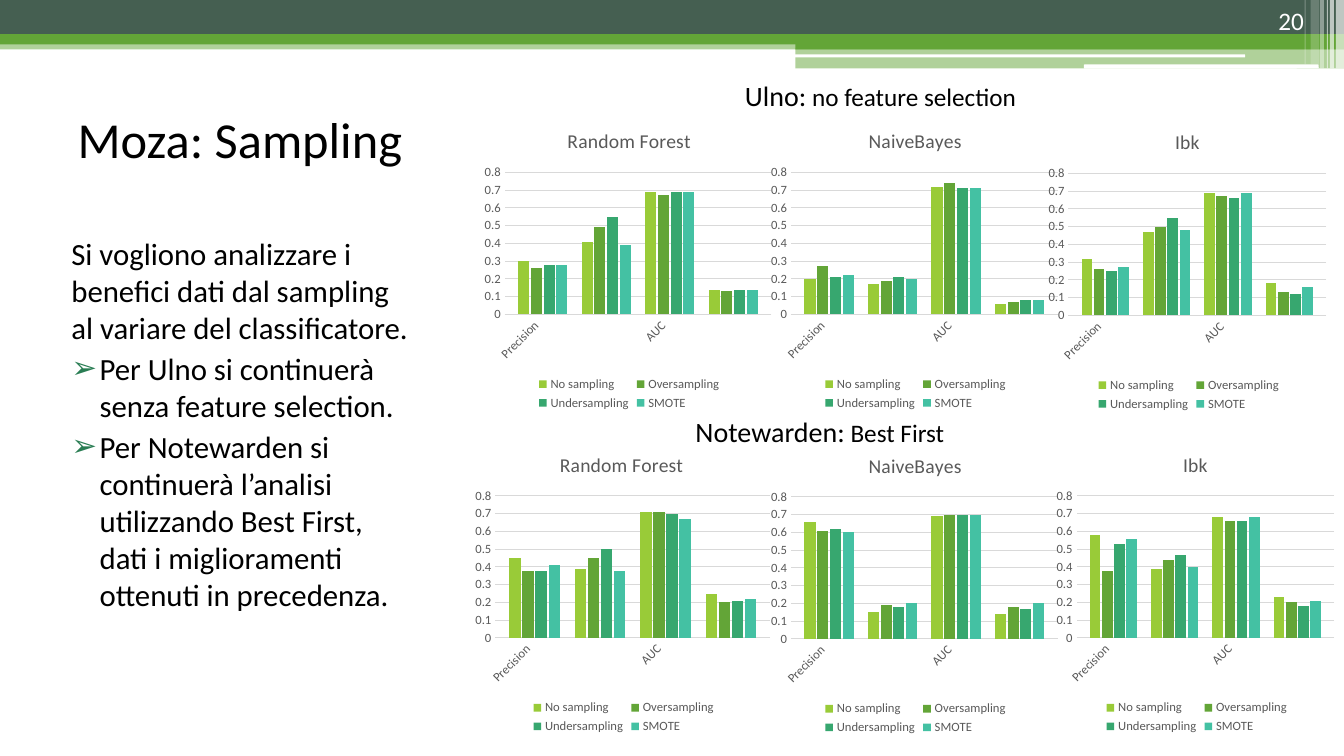
import pptx
import pptx.chart.data
import pptx.dml.color
import pptx.enum.chart
import pptx.enum.shapes
import pptx.enum.text
import pptx.oxml
import pptx.oxml.ns
import pptx.util
from pptx.util import Inches

FONT = "Calibri"
GREEN, DARK, WHITE, BLACK, GREY = "63A537", "455F51", "FFFFFF", "000000", "595959"
SAMPLINGS = {"No sampling": "99CB38", "Oversampling": GREEN,
             "Undersampling": "37A76F", "SMOTE": "44C1A3"}
METRICS = ["Precision", "Recall", "AUC", "Kappa"]
GROUP = 5  # category slots per metric: four bars and a gap
TITLE_LEFT = {"Random Forest": 0.28, "NaiveBayes": 0.33, "Ibk": 0.44}

# Header bands: left, top, width, height, colour, opacity, rounded
BANDS = [
    (0, 0.4, 13.33, 0.09, GREEN, 50, False),
    (0, 0, 13.33, 0.34, DARK, 100, False),
    (0, 0.34, 13.33, 0.1, GREEN, 100, False),
    (7.89, 0.39, 5.44, 0.1, GREEN, 100, False),
    (7.89, 0.48, 5.44, 0.2, GREEN, 50, False),
    (7.88, 0.54, 4.47, 0.03, WHITE, 100, True),
    (10.75, 0.64, 2.33, 0.04, WHITE, 100, True),
    (13.25, 0, 0.08, 0.68, WHITE, 65, False),
    (13.19, 0, 0.04, 0.68, WHITE, 65, False),
    (13.16, 0, 0.01, 0.68, WHITE, 60, False),
    (13.09, 0, 0.04, 0.68, WHITE, 40, False),
    (13, 0, 0.08, 0.64, WHITE, 20, False),
    (12.94, 0, 0.01, 0.64, WHITE, 30, False),
]

# Charts: classifier, box, one row per sampling with one value per metric
UPPER_CHARTS = [
    ("Random Forest", (4.77, 1.11, 2.94, 3),
     [(0.3, 0.41, 0.69, 0.14), (0.26, 0.49, 0.67, 0.13),
      (0.28, 0.55, 0.69, 0.14), (0.28, 0.39, 0.69, 0.14)]),
    ("NaiveBayes", (7.61, 1.11, 2.94, 3),
     [(0.2, 0.17, 0.72, 0.06), (0.27, 0.19, 0.74, 0.07),
      (0.21, 0.21, 0.71, 0.08), (0.22, 0.2, 0.71, 0.08)]),
    ("Ibk", (10.37, 1.12, 2.84, 3),
     [(0.32, 0.47, 0.69, 0.18), (0.26, 0.5, 0.67, 0.13),
      (0.25, 0.55, 0.66, 0.12), (0.27, 0.48, 0.69, 0.16)]),
]
LOWER_CHARTS = [
    ("Random Forest", (4.67, 4.32, 3.03, 3),
     [(0.45, 0.39, 0.71, 0.25), (0.38, 0.45, 0.71, 0.2),
      (0.38, 0.5, 0.7, 0.21), (0.41, 0.38, 0.67, 0.22)]),
    ("NaiveBayes", (7.61, 4.33, 2.94, 3),
     [(0.66, 0.15, 0.69, 0.14), (0.61, 0.19, 0.7, 0.18),
      (0.62, 0.18, 0.7, 0.17), (0.6, 0.2, 0.7, 0.2)]),
    ("Ibk", (10.45, 4.32, 2.84, 3),
     [(0.58, 0.39, 0.68, 0.23), (0.38, 0.44, 0.66, 0.2),
      (0.53, 0.47, 0.66, 0.18), (0.56, 0.4, 0.68, 0.21)]),
]


def color(hex_string):
    return pptx.dml.color.RGBColor.from_string(hex_string)


def set_font(font, size, hex_string):
    font.name, font.size, font.bold = FONT, pptx.util.Pt(size), False
    font.color.rgb = color(hex_string)


def add_text_box(slide, box):
    text_frame = slide.shapes.add_textbox(*map(Inches, box)).text_frame
    text_frame.word_wrap = True
    return text_frame


def add_header(slide):
    shapes = pptx.enum.shapes.MSO_SHAPE
    for *box, hex_string, opacity, rounded in BANDS:
        kind = shapes.ROUNDED_RECTANGLE if rounded else shapes.RECTANGLE
        band = slide.shapes.add_shape(kind, *map(Inches, box))
        band.shadow.inherit = False
        band.line.fill.background()
        band.fill.solid()
        band.fill.fore_color.rgb = color(hex_string)
        if opacity < 100:
            fill = band.fill._xPr.find(".//" + pptx.oxml.ns.qn("a:srgbClr"))
            fill.append(pptx.oxml.parse_xml(
                f'<a:alpha {pptx.oxml.ns.nsdecls("a")} val="{opacity * 1000}"/>'))

    # Slide number
    text_frame = add_text_box(slide, (11.92, 0, 1.11, 0.4))
    text_frame.vertical_anchor = pptx.enum.text.MSO_ANCHOR.BOTTOM
    paragraph = text_frame.paragraphs[0]
    paragraph.text = "20"
    paragraph.alignment = pptx.enum.text.PP_ALIGN.RIGHT
    set_font(paragraph.font, 18, WHITE)


def add_title(slide, box):
    title = slide.shapes.title
    title.left, title.top, title.width, title.height = map(Inches, box)
    title.text_frame.vertical_anchor = pptx.enum.text.MSO_ANCHOR.MIDDLE
    paragraph = title.text_frame.paragraphs[0]
    paragraph.text = "Moza: Sampling"
    paragraph.alignment = pptx.enum.text.PP_ALIGN.LEFT
    set_font(paragraph.font, 36, BLACK)


def add_body(slide, box):
    text_frame = add_text_box(slide, box)
    lines = [
        ("Si vogliono analizzare i benefici dati dal sampling al variare del classificatore.", False),
        ("Per Ulno si continuerà senza feature selection.", True),
        ("Per Notewarden si continuerà l’analisi utilizzando Best First, "
         "dati i miglioramenti ottenuti in precedenza.", True),
    ]
    for index, (text, bulleted) in enumerate(lines):
        paragraph = text_frame.add_paragraph() if index else text_frame.paragraphs[0]
        paragraph.text = text
        paragraph.space_before = pptx.util.Pt(3)
        set_font(paragraph.font, 22, BLACK)
        properties = paragraph._p.get_or_add_pPr()
        properties.set("marL", str(Inches(0.4 if bulleted else 0.12)))
        properties.set("indent", str(Inches(-0.28 if bulleted else 0)))
        if bulleted:
            namespace = pptx.oxml.ns.nsdecls("a")
            font_defaults = properties.find(pptx.oxml.ns.qn("a:defRPr"))
            for bullet in (f'<a:buClr {namespace}><a:srgbClr val="297D53"/></a:buClr>',
                           f'<a:buFont {namespace} typeface="{FONT}"/>',
                           f'<a:buChar {namespace} char="➢"/>'):
                font_defaults.addprevious(pptx.oxml.parse_xml(bullet))


def set_layout(element, index, target="", **fractions):
    """Place a chart part by fractions of the chart's size."""
    for layout in element.findall(pptx.oxml.ns.qn("c:layout")):
        element.remove(layout)
    modes = "".join(f'<c:{key}Mode val="edge"/>' for key in "xy")
    values = "".join(f'<c:{key} val="{value}"/>' for key, value in fractions.items())
    element.insert(index, pptx.oxml.parse_xml(
        f'<c:layout {pptx.oxml.ns.nsdecls("c")}><c:manualLayout>'
        f'{target}{modes}{values}</c:manualLayout></c:layout>'))


def add_sampling_chart(slide, classifier, box, rows):
    # Each bar has its own slot, so the stacked columns look clustered
    slots = GROUP * len(METRICS) + 1
    data = pptx.chart.data.CategoryChartData()
    labels = {2 + GROUP * index: metric for index, metric in enumerate(METRICS)}
    labels[1] = " "
    data.categories = [labels.get(slot, "") for slot in range(slots)]
    for offset, (name, row) in enumerate(zip(SAMPLINGS, rows), 1):
        values = [None] * slots
        values[offset::GROUP] = row
        data.add_series(name, values)
    chart = slide.shapes.add_chart(pptx.enum.chart.XL_CHART_TYPE.COLUMN_STACKED,
                                   *map(Inches, box), data).chart
    set_font(chart.font, 10, BLACK)

    plot = chart.plots[0]
    plot.gap_width, plot.overlap, plot.vary_by_categories = 15, 100, False
    for series, hex_string in zip(plot.series, SAMPLINGS.values()):
        series.format.fill.solid()
        series.format.fill.fore_color.rgb = color(hex_string)

    # Title and plot area
    chart.has_title = True
    paragraph = chart.chart_title.text_frame.paragraphs[0]
    paragraph.text = classifier
    set_font(paragraph.font, 14, GREY)
    set_layout(chart.chart_title._element, 1, x=TITLE_LEFT[classifier], y=0.04)
    set_layout(chart._chartSpace.chart.plotArea, 0, '<c:layoutTarget val="inner"/>',
               x=0.08, y=0.2, w=0.9, h=0.47)

    # Axes
    for axis in (chart.category_axis, chart.value_axis):
        axis.major_tick_mark = axis.minor_tick_mark = pptx.enum.chart.XL_TICK_MARK.NONE
        set_font(axis.tick_labels.font, 9, GREY)
    chart.category_axis._element.txPr.bodyPr.set("rot", "-2700000")
    chart.value_axis.minimum_scale, chart.value_axis.maximum_scale = 0, 0.8
    chart.value_axis.major_unit = 0.1
    chart.value_axis.format.line.fill.background()
    for line in (chart.category_axis.format.line, chart.value_axis.major_gridlines.format.line):
        line.color.rgb = color("D9D9D9")
        line.width = pptx.util.Pt(0.75)

    # Legend
    chart.has_legend = True
    chart.legend.position = pptx.enum.chart.XL_LEGEND_POSITION.BOTTOM
    chart.legend.include_in_layout = False
    set_font(chart.legend.font, 9, GREY)


def add_project(slide, box, name, method, charts):
    paragraph = add_text_box(slide, box).paragraphs[0]
    for text, size in ((name, 20), (method, 18)):
        run = paragraph.add_run()
        run.text = text
        set_font(run.font, size, BLACK)
    for chart in charts:
        add_sampling_chart(slide, *chart)


def main():
    presentation = pptx.Presentation()
    presentation.slide_width, presentation.slide_height = Inches(13.33), Inches(7.5)
    slide = presentation.slides.add_slide(presentation.slide_layouts.get_by_name("Title Only"))
    add_header(slide)
    add_title(slide, (0.67, 0.79, 4, 1.17))
    add_body(slide, (0.49, 2.28, 3.74, 4.53))
    add_project(slide, (7.29, 0.73, 4.45, 0.44), "Ulno:", " no feature selection", UPPER_CHARTS)
    add_project(slide, (6.8, 4.06, 4.06, 0.44), "Notewarden:", " Best First", LOWER_CHARTS)
    presentation.save("out.pptx")


if __name__ == "__main__":
    main()
